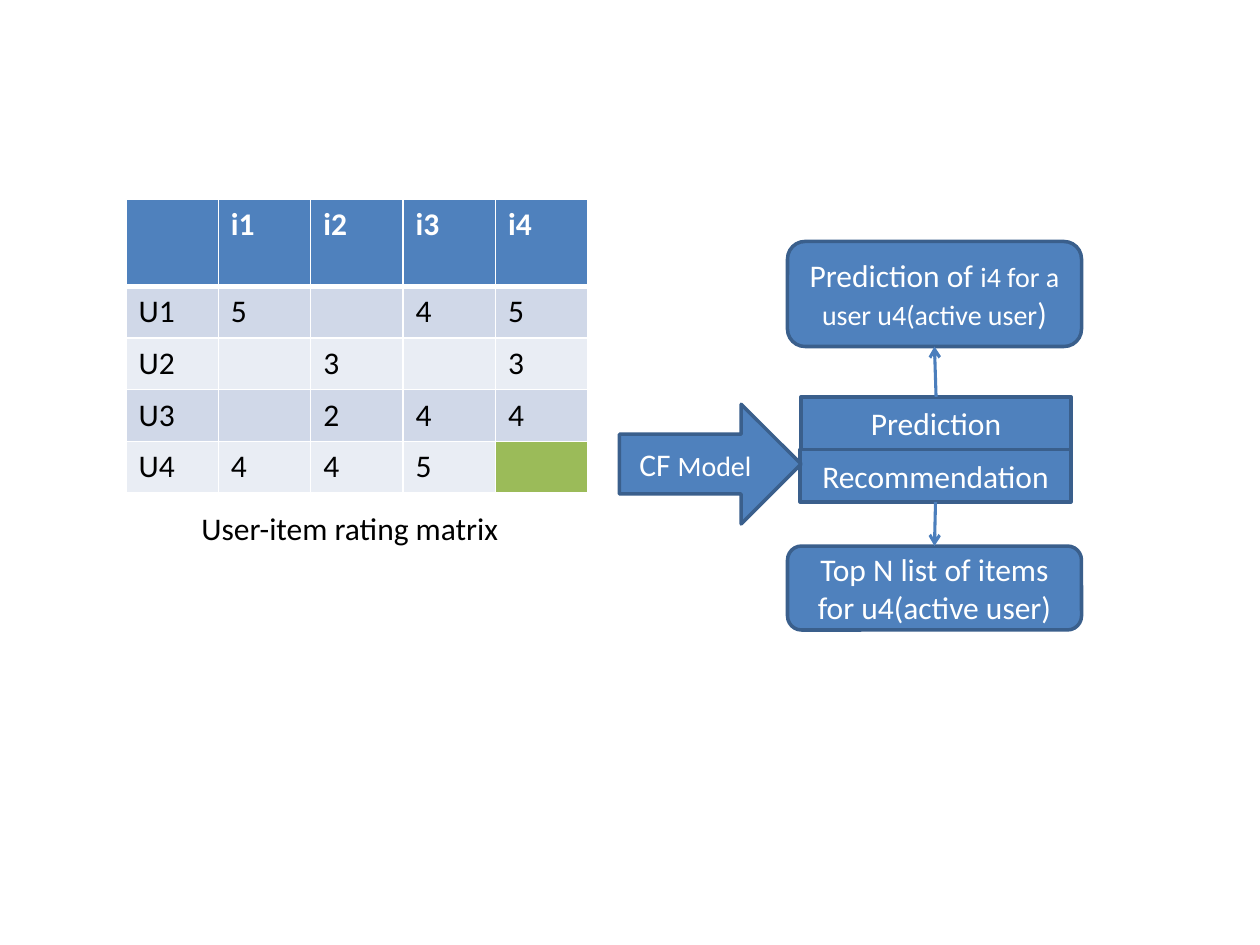
from dataclasses import dataclass

from lxml import etree
from pptx import Presentation
from pptx.dml.color import RGBColor
from pptx.enum.shapes import MSO_CONNECTOR, MSO_SHAPE
from pptx.enum.text import MSO_ANCHOR, PP_ALIGN
from pptx.oxml.ns import qn
from pptx.util import Inches, Pt

ROUNDED = MSO_SHAPE.FLOWCHART_ALTERNATE_PROCESS
RECTANGLE = MSO_SHAPE.RECTANGLE
RIGHT_ARROW = MSO_SHAPE.RIGHT_ARROW
STRAIGHT = MSO_CONNECTOR.STRAIGHT
MIDDLE, CENTER = MSO_ANCHOR.MIDDLE, PP_ALIGN.CENTER
TOP, BOTTOM = 0, 2

COLORS = {
    "blue": "4F81BD", "outline": "3A5F8C", "connector": "4B7EBC",
    "band_dark": "D0D8E8", "band_light": "E9EDF4", "target": "9BBB59",
    "white": "FFFFFF", "black": "000000",
}
FONT = "Calibri"
UNIT = Inches(1) / 12  # the slide is a grid of 120 columns by 90 rows
COLUMN_WIDTH, HEADER_HEIGHT, ROW_HEIGHT = 8.8, 8.28, 4.92

RATINGS = [
    ["", "i1", "i2", "i3", "i4"],
    ["U1", "5", "", "4", "5"],
    ["U2", "", "3", "", "3"],
    ["U3", "", "2", "4", "4"],
    ["U4", "4", "4", "5", ""],
]


@dataclass(frozen=True)
class Node:
    name: str
    kind: int
    column: float
    row: float
    width: float
    height: float
    spans: tuple[tuple[str, int], ...]


NODES = [
    Node("top_list", ROUNDED, 75, 52, 28, 8,
         (("Top N list of items for u4(active user)", 18),)),
    Node("rating", ROUNDED, 75, 23, 28, 10,
         (("Prediction of ", 18), ("i4 for a user u4(active user", 16), (")", 18))),
    Node("prediction", RECTANGLE, 76.3, 37.8, 25.7, 5, (("Prediction", 18),)),
    Node("recommendation", RECTANGLE, 76.2, 42.8, 25.8, 5, (("Recommendation", 18),)),
    Node("model", RIGHT_ARROW, 59, 38.5, 17.3, 11.4, (("CF ", 18), ("Model", 16))),
]
LINKS = [("prediction", TOP, "rating", BOTTOM),
         ("recommendation", BOTTOM, "top_list", TOP)]


def grid(*steps: float) -> list[int]:
    return [round(step * UNIT) for step in steps]


def color(name: str) -> RGBColor:
    return RGBColor.from_string(COLORS[name])


def set_font(font, tint: str, size: int | None = 18, bold: bool = False) -> None:
    font.name, font.bold = FONT, bold
    font.color.rgb = color(tint)
    if size:
        font.size = Pt(size)


def set_borders(cell, bottom_width: float, top_width: float) -> None:
    properties = cell._tc.get_or_add_tcPr()
    widths = {"a:lnL": 1, "a:lnR": 1, "a:lnT": top_width, "a:lnB": bottom_width}
    for position, (tag, width) in enumerate(widths.items()):
        border = etree.Element(qn(tag), w=str(Pt(width)))
        fill = etree.SubElement(border, qn("a:solidFill"))
        etree.SubElement(fill, qn("a:srgbClr"), val=COLORS["white"])
        properties.insert(position, border)


def cell_fill(row: int, column: int) -> str:
    if row == 0:
        return "blue"
    if (row, column) == (4, 4):
        return "target"
    return "band_dark" if row % 2 else "band_light"


def draw_matrix(page) -> None:
    count = len(RATINGS)
    size = grid(count * COLUMN_WIDTH, HEADER_HEIGHT + (count - 1) * ROW_HEIGHT)
    table = page.shapes.add_table(count, count, *grid(12, 19), *size).table
    for column in table.columns:
        column.width = grid(COLUMN_WIDTH)[0]
    for index, row in enumerate(table.rows):
        row.height = grid(ROW_HEIGHT if index else HEADER_HEIGHT)[0]
        for position, cell in enumerate(row.cells):
            cell.text = RATINGS[index][position]
            cell.fill.solid()
            cell.fill.fore_color.rgb = color(cell_fill(index, position))
            header = index == 0
            set_font(cell.text_frame.paragraphs[0].font,
                     "white" if header else "black", bold=header)
            set_borders(cell, 3 if header else 1, 3 if index == 1 else 1)


def draw_node(page, node: Node):
    shape = page.shapes.add_shape(
        node.kind, *grid(node.column, node.row, node.width, node.height))
    shape.shadow.inherit = False
    shape.fill.solid()
    shape.fill.fore_color.rgb = color("blue")
    shape.line.color.rgb = color("outline")
    shape.line.width = Pt(2)
    frame = shape.text_frame
    frame.word_wrap, frame.vertical_anchor = True, MIDDLE
    para = frame.paragraphs[0]
    para.alignment = CENTER
    set_font(para.font, "white", size=None)
    for text, size in node.spans:
        span = para.add_run()
        span.text = text
        span.font.size = Pt(size)
    return shape


def draw_link(page, start, start_side: int, end, end_side: int) -> None:
    link = page.shapes.add_connector(STRAIGHT, 0, 0, 0, 0)
    link.begin_connect(start, start_side)
    link.end_connect(end, end_side)
    link.line.color.rgb = color("connector")
    link.line.width = Pt(1.75)
    etree.SubElement(link.line._get_or_add_ln(), qn("a:tailEnd"), type="arrow")
    etree.SubElement(link._element.spPr, qn("a:effectLst"))


def draw_caption(page) -> None:
    box = page.shapes.add_textbox(*grid(18, 47.9, 33, 4.8))
    box.text_frame.word_wrap = True
    para = box.text_frame.paragraphs[0]
    para.text = "User-item rating matrix"
    set_font(para.font, "black")


def main() -> None:
    deck = Presentation()
    deck.slide_width, deck.slide_height = grid(120, 90)
    page = deck.slides.add_slide(deck.slide_layouts[6])

    # Ratings on the left
    draw_matrix(page)

    # Model and its two outcomes on the right
    shapes = {node.name: draw_node(page, node) for node in NODES}
    for start, start_side, end, end_side in LINKS:
        draw_link(page, shapes[start], start_side, shapes[end], end_side)

    # Caption under the table
    draw_caption(page)
    deck.save("out.pptx")


if __name__ == "__main__":
    main()
